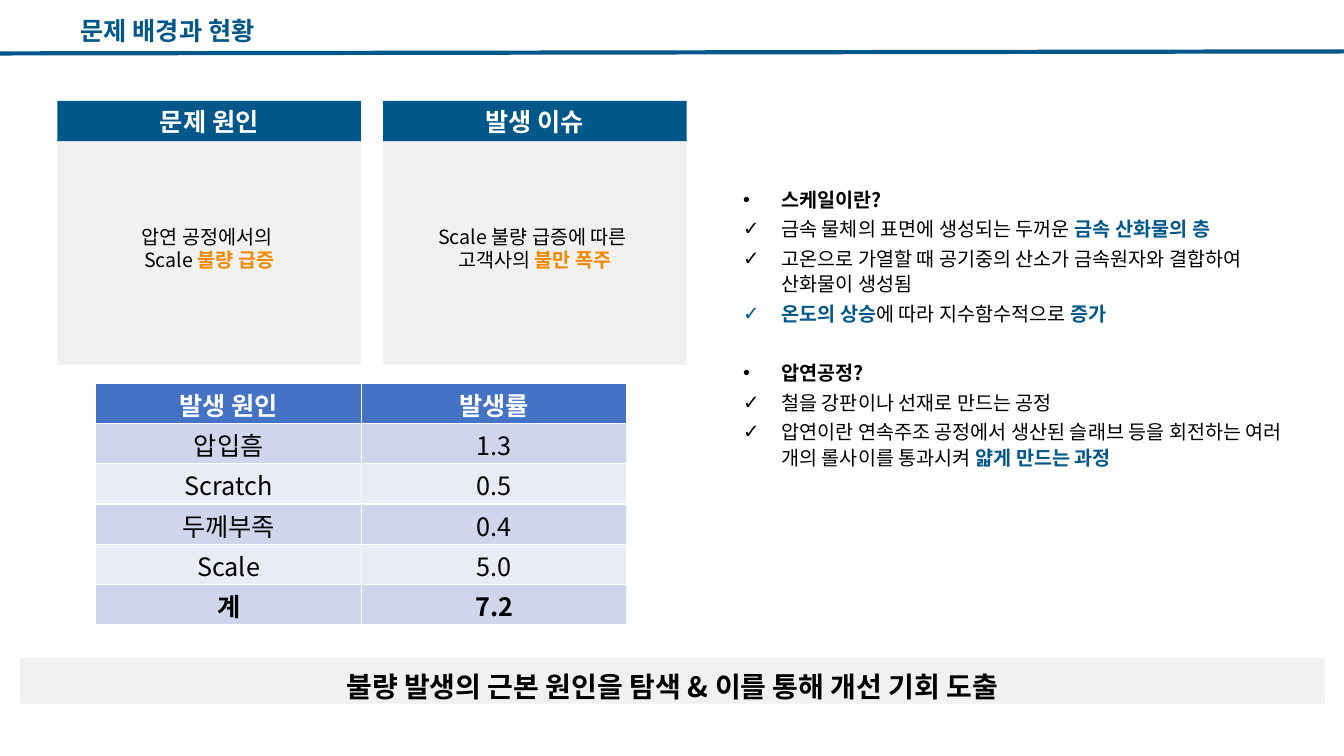
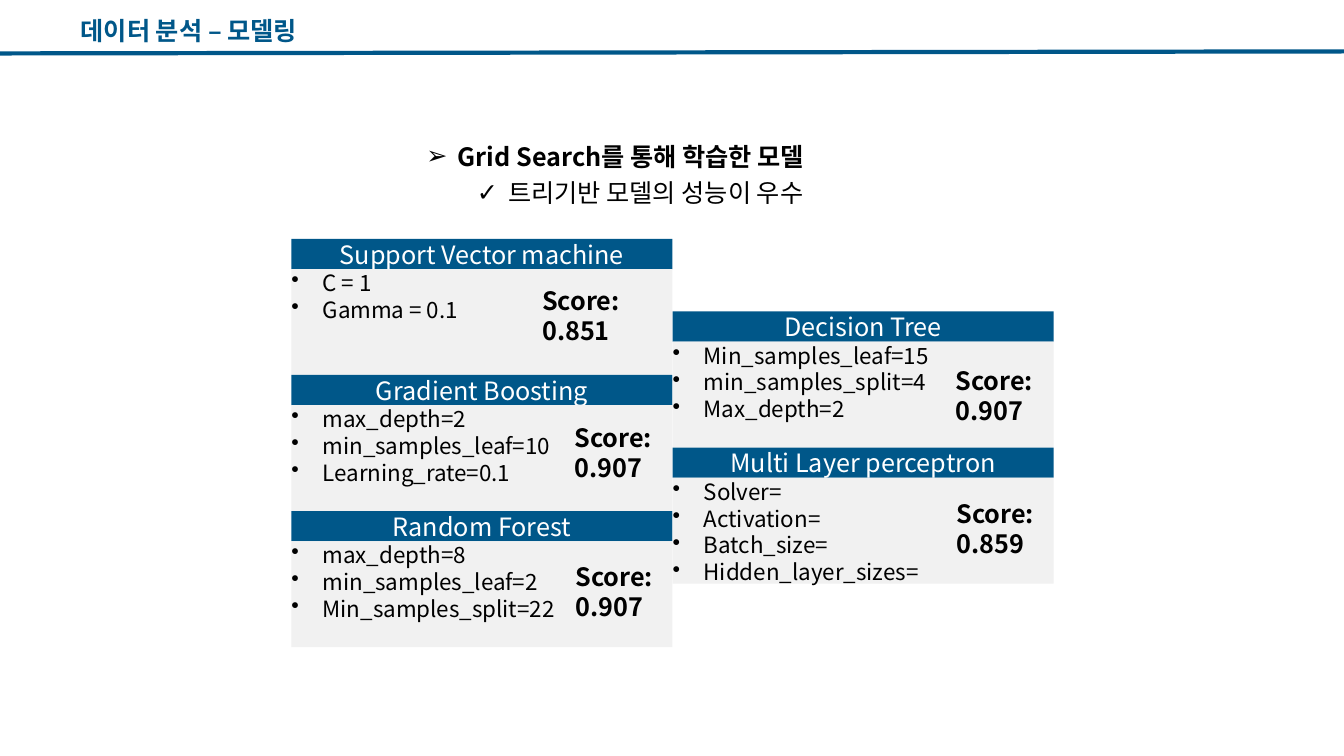
from pptx import Presentation
from pptx.enum import shapes, text
from pptx.oxml import ns, xmlchemy
from pptx.util import Inches, Pt
from pptx.dml.color import RGBColor

# Shared look
FONT = "Noto Sans CJK KR"
COLORS = {
    "navy": "005789", "orange": "F18A00", "black": "000000", "white": "FFFFFF",
    "panel": "F1F1F1", "table_head": "4472C4", "odd_row": "CFD5EA", "even_row": "E9EBF5",
}
# style name -> (colour, bold)
STYLES = {
    "plain": ("black", False), "strong": ("black", True),
    "key": ("navy", True), "alert": ("orange", True),
    "head": ("white", True), "light": ("white", False),
}
CENTER = text.PP_ALIGN.CENTER
DOT, CHECK, ARROW = "•", "✓", "➢"

# Content: a line is a list of (words, style) spans
CARDS = [
    ("문제 원인", [[("압연 공정에서의 ", "plain")],
               [("Scale ", "plain"), ("불량 급증", "alert")]]),
    ("발생 이슈", [[("Scale 불량 급증에 따른 ", "plain")],
               [("고객사의 ", "plain"), ("불만 폭주", "alert")]]),
]
DEFECT_RATES = [
    ("발생 원인", "발생률"), ("압입흠", "1.3"), ("Scratch", "0.5"),
    ("두께부족", "0.4"), ("Scale", "5.0"), ("계", "7.2"),
]
CONCLUSION = "불량 발생의 근본 원인을 탐색 & 이를 통해 개선 기회 도출"
# (bullet, spans)
SCALE_NOTES = [
    (DOT, [("스케일이란?", "strong")]),
    (CHECK, [("금속 물체의 표면에 생성되는 두꺼운 ", "plain"), ("금속 산화물의 층", "key")]),
    (CHECK, [("고온으로 가열할 때 공기중의 산소가 금속원자와 결합하여\n산화물이 생성됨", "plain")]),
    (CHECK, [("온도의 상승", "key"), ("에 따라 지수함수적으로 ", "plain"), ("증가", "key")]),
    (DOT, [("압연공정?", "strong")]),
    (CHECK, [("철을 강판이나 선재로 만드는 공정", "plain")]),
    (CHECK, [("압연이란 연속주조 공정에서 생산된 슬래브 등을 회전하는 여러 개의 롤사이를 "
              "통과시켜 ", "plain"), ("얇게 만드는 과정", "key")]),
]
SEARCH_NOTES = [
    (ARROW, [("Grid Search를 통해 학습한 모델", "strong")]),
    (CHECK, [("트리기반 모델의 성능이 우수", "plain")]),
]
# column (left, top) -> models: name, settings, score, score position
MODEL_COLUMNS = {
    (2.89, 2.37): [
        ("Support Vector machine", ["C = 1", "Gamma = 0.1"], "0.851", (5.28, 2.78)),
        ("Gradient Boosting", ["max_depth=2", "min_samples_leaf=10", "Learning_rate=0.1"],
         "0.907", (5.6, 4.14)),
        ("Random Forest", ["max_depth=8", "min_samples_leaf=2", "Min_samples_split=22"],
         "0.907", (5.61, 5.52)),
    ],
    (6.67, 3.09): [
        ("Decision Tree", ["Min_samples_leaf=15", "min_samples_split=4", "Max_depth=2"],
         "0.907", (9.38, 3.57)),
        ("Multi Layer perceptron",
         ["Solver=", "Activation=", "Batch_size=", "Hidden_layer_sizes="],
         "0.859", (9.39, 4.89)),
    ],
}


# Helpers
def rgb(name):
    return RGBColor.from_string(COLORS[name])


def add_xml(parent, tag, **attributes):
    child = xmlchemy.OxmlElement(tag)
    for name, value in attributes.items():
        child.set(name, value)
    parent.append(child)


def style_span(span, size, style):
    color, bold = STYLES[style]
    span.font.name, span.font.size, span.font.bold = FONT, Pt(size), bold
    span.font.color.rgb = rgb(color)
    add_xml(span.font._element, "a:ea", typeface=FONT)


def write(frame, lines, size, align=text.PP_ALIGN.LEFT):
    """Fill the frame with lines of styled spans and return its paragraphs."""
    frame.text = "\n" * (len(lines) - 1)
    for para, spans in zip(frame.paragraphs, lines):
        para.alignment = align
        for words, style in spans:
            for index, part in enumerate(words.split("\n")):
                if index:
                    para.add_line_break()
                span = para.add_run()
                span.text = part
                style_span(span, size, style)
    return frame.paragraphs


def set_bullet(para, mark, left, hanging):
    properties = para._p.get_or_add_pPr()
    properties.set("marL", str(Inches(left)))
    properties.set("indent", str(-Inches(hanging)))
    add_xml(properties, "a:buChar", char=mark)


def set_frame(frame, insets=(0.1, 0.05, 0.1, 0.05), anchor=text.MSO_ANCHOR.TOP):
    frame.word_wrap = True
    frame.auto_size = text.MSO_AUTO_SIZE.NONE
    frame.vertical_anchor = anchor
    (frame.margin_left, frame.margin_top,
     frame.margin_right, frame.margin_bottom) = map(Inches, insets)
    return frame


def move(shape, left, top, width, height):
    shape.left, shape.top = Inches(left), Inches(top)
    shape.width, shape.height = Inches(width), Inches(height)


def add_panel(page, area, fill, top_inset=0, anchor=text.MSO_ANCHOR.TOP):
    panel = page.shapes.add_shape(shapes.MSO_SHAPE.RECTANGLE, *map(Inches, area))
    panel.shadow.inherit = False
    panel.fill.solid()
    panel.fill.fore_color.rgb = rgb(fill)
    panel.line.fill.background()
    return set_frame(panel.text_frame, (0, top_inset, 0, 0), anchor)


def add_page(deck, title, title_width):
    page = deck.slides.add_slide(deck.slide_layouts[1])
    move(page.shapes.title, 0.7, 0.1, title_width, 0.4)
    write(set_frame(page.shapes.title.text_frame), [[(title, "key")]], 18)
    rule = page.shapes.add_connector(
        shapes.MSO_CONNECTOR.STRAIGHT, Inches(-0.01), Inches(0.53), Inches(13.33), Inches(0.51))
    rule.line.color.rgb = rgb("navy")
    rule.line.width = Pt(3)
    add_xml(rule._element.spPr, "a:effectLst")
    return page


def fill_body(page, area, notes, size, insets):
    body = page.placeholders[1]
    move(body, *area)
    paras = write(set_frame(body.text_frame, insets), [spans for _, spans in notes], size)
    for para in paras:
        para.line_spacing, para.space_before = 1.09, Pt(2.8)
    return paras


deck = Presentation()
deck.slide_width, deck.slide_height = Inches(13.33), Inches(7.5)

# Slide 1: background
page = add_page(deck, "문제 배경과 현황", 2.15)

# Cause and issue cards
for index, (heading, lines) in enumerate(CARDS):
    left = 0.57 + index * 3.23
    middle = text.MSO_ANCHOR.MIDDLE
    write(add_panel(page, (left, 1.3, 3.01, 2.32), "panel", anchor=middle), lines, 14, CENTER)
    write(add_panel(page, (left, 1, 3.01, 0.4), "navy", anchor=middle),
          [[(heading, "head")]], 18, CENTER)

# Defect rate table
table = page.shapes.add_table(
    len(DEFECT_RATES), 2, Inches(0.95), Inches(3.8), Inches(5.27), Inches(2.4)).table
last = len(DEFECT_RATES) - 1
for row, values in enumerate(DEFECT_RATES):
    fill = "table_head" if row == 0 else "odd_row" if row % 2 else "even_row"
    style = {0: "head", last: "strong"}.get(row, "plain")
    for column, value in enumerate(values):
        cell = table.cell(row, column)
        cell.fill.solid()
        cell.fill.fore_color.rgb = rgb(fill)
        cell.margin_top, cell.margin_bottom = Inches(0.03), 0
        write(cell.text_frame, [[(value, style)]], 18, CENTER)

# Conclusion band
write(add_panel(page, (0.2, 6.53, 12.94, 0.45), "panel", top_inset=0.11),
      [[(CONCLUSION, "strong")]], 20, CENTER)

# Definitions, with a gap before the second topic
paras = fill_body(page, (7.26, 1.79, 5.72, 2.94), SCALE_NOTES, 14, (0.1, 0.05, 0.1, 0.05))
for index, (para, (mark, _)) in enumerate(zip(paras, SCALE_NOTES)):
    if index and mark == DOT:
        para.space_before = Pt(24)
    set_bullet(para, mark, 0.39, 0.38)

# Slide 2: modelling
page = add_page(deck, "데이터 분석 – 모델링", 2.62)

# Model cards stacked in two columns
HEAD_HEIGHT, CARD_HEIGHT = 0.3, 1.05
for (left, column_top), models in MODEL_COLUMNS.items():
    for index, (name, settings, score, (score_left, score_top)) in enumerate(models):
        top = column_top + index * (HEAD_HEIGHT + CARD_HEIGHT)
        write(add_panel(page, (left, top, 3.78, HEAD_HEIGHT), "navy"),
              [[(name, "light")]], 18, CENTER)
        card = add_panel(page, (left, top + HEAD_HEIGHT, 3.78, CARD_HEIGHT), "panel")
        for para in write(card, [[(setting, "plain")] for setting in settings], 16):
            set_bullet(para, DOT, 0.31, 0.31)
        box = page.shapes.add_textbox(
            Inches(score_left), Inches(score_top), Inches(1.1), Inches(0.71))
        write(set_frame(box.text_frame), [[("Score:", "strong")], [(score, "strong")]], 18)

# Search summary
paras = fill_body(page, (4.21, 1.33, 4.71, 1.56), SEARCH_NOTES, 18, (0, 0.04, 0, 0))
for level, (para, (mark, _)) in enumerate(zip(paras, SEARCH_NOTES)):
    para.level = level
    set_bullet(para, mark, 0.33 + level * 0.5, 0.31)

deck.save("out.pptx")
